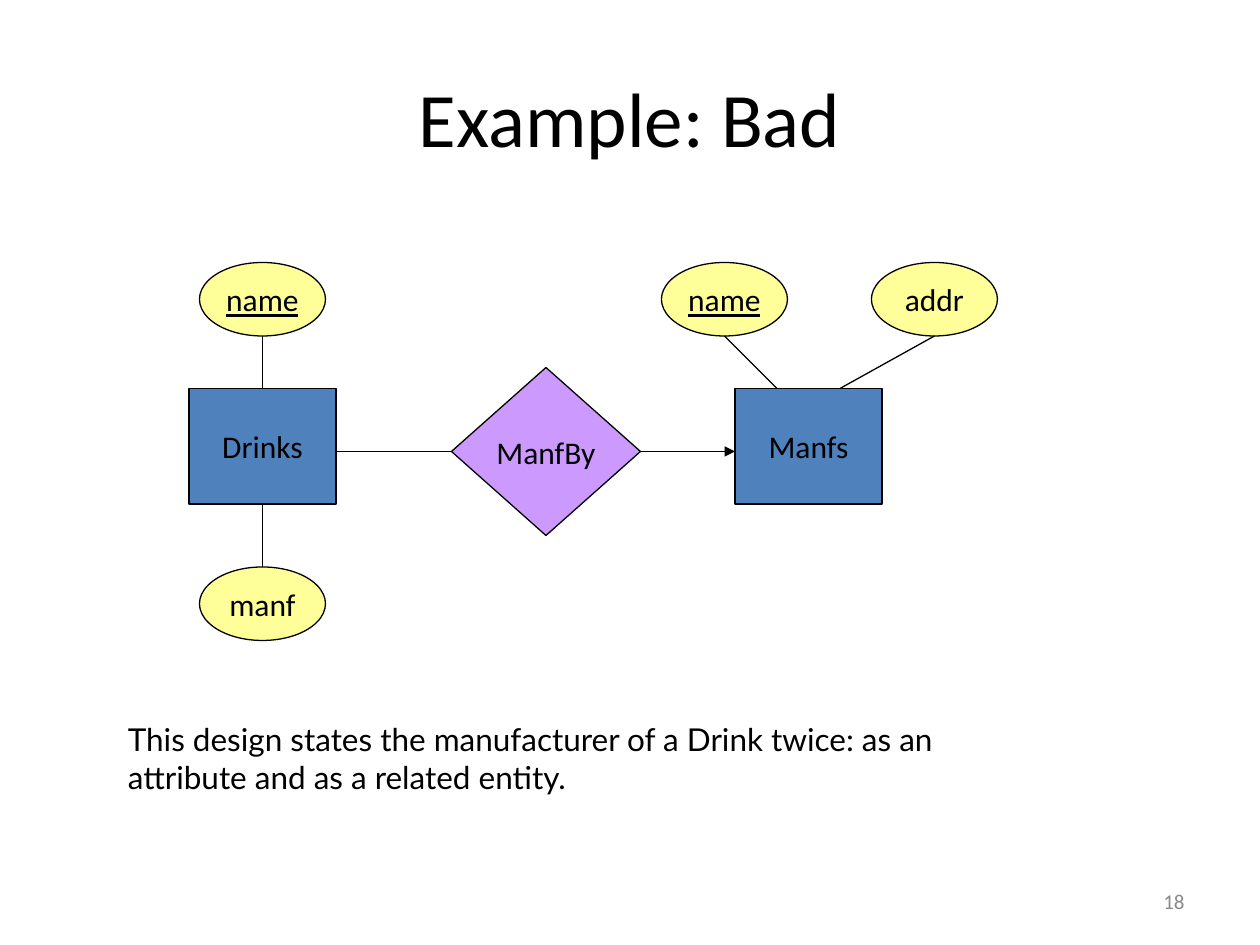
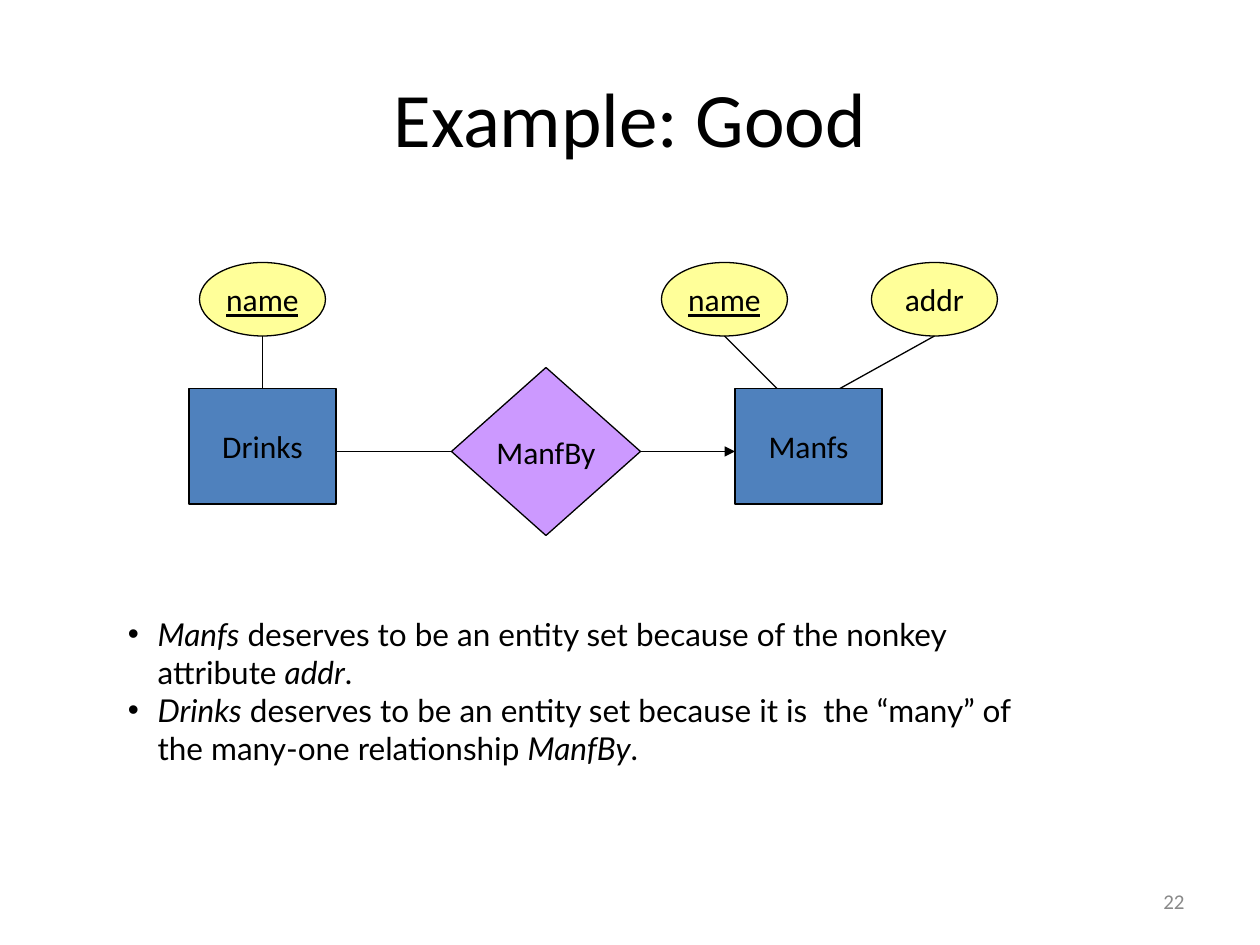
from lxml import etree
from pptx import Presentation
from pptx.dml.color import RGBColor
from pptx.enum.shapes import MSO_CONNECTOR, MSO_SHAPE
from pptx.enum.text import MSO_ANCHOR, PP_ALIGN
from pptx.oxml.ns import qn
from pptx.util import Pt

BLACK, GREY = "000000", "898989"
BLUE, PURPLE, YELLOW = "4F81BD", "CC99FF", "FFFF99"
HEADING_FONT, BODY_FONT = "Calibri", "Lato"


def colour(hex_string):
    return RGBColor.from_string(hex_string)


class DiagramDeck:
    """Holds the shared style and the slide being drawn; lengths are in points."""

    def __init__(self):
        self.presentation = Presentation()
        self.presentation.slide_width = Pt(720)
        self.presentation.slide_height = Pt(540)
        self.slide = None

    def add_slide(self, title, number):
        layout = self.presentation.slide_layouts.get_by_name("Title Only")
        self.slide = self.presentation.slides.add_slide(layout)
        shape = self.slide.shapes.title
        shape.left, shape.top, shape.width, shape.height = Pt(36), Pt(21.6), Pt(648), Pt(90)
        shape.text_frame.text = title
        shape.text_frame.vertical_anchor = MSO_ANCHOR.MIDDLE
        self.style(shape.text_frame.paragraphs[0], 44, alignment=PP_ALIGN.CENTER)

        frame = self.text_box(516, 500.5, 168, 28.8)
        frame.vertical_anchor = MSO_ANCHOR.MIDDLE
        frame.text = number
        self.style(frame.paragraphs[0], 12, GREY, alignment=PP_ALIGN.RIGHT)

    def style(self, paragraph, size=18, ink=BLACK, font=HEADING_FONT, alignment=PP_ALIGN.LEFT):
        paragraph.alignment = alignment
        paragraph.font.name = font
        paragraph.font.size = Pt(size)
        paragraph.font.color.rgb = colour(ink)

    def text_box(self, left, top, width, height):
        box = self.slide.shapes.add_textbox(Pt(left), Pt(top), Pt(width), Pt(height))
        box.text_frame.word_wrap = True
        return box.text_frame

    def node(self, kind, label, left, top, width, height, fill, underline=False):
        shape = self.slide.shapes.add_shape(kind, Pt(left), Pt(top), Pt(width), Pt(height))
        shape.shadow.inherit = False
        shape.fill.solid()
        shape.fill.fore_color.rgb = colour(fill)
        shape.line.color.rgb = colour(BLACK)
        shape.line.width = Pt(0.75)
        frame = shape.text_frame
        frame.word_wrap = False
        frame.vertical_anchor = MSO_ANCHOR.MIDDLE
        frame.text = label
        paragraph = frame.paragraphs[0]
        self.style(paragraph, alignment=PP_ALIGN.CENTER)
        if underline:
            paragraph.font.underline = True

    def entity(self, label, left):
        self.node(MSO_SHAPE.RECTANGLE, label, left, 222, 84, 66, BLUE)

    def relationship(self, label, left):
        self.node(MSO_SHAPE.DIAMOND, label, left, 210, 108, 96, PURPLE)

    def attribute(self, label, left, top=150, key=False):
        self.node(MSO_SHAPE.OVAL, label, left, top, 72, 42, YELLOW, underline=key)

    def line(self, start, end, arrow=False):
        connector = self.slide.shapes.add_connector(
            MSO_CONNECTOR.STRAIGHT, *(Pt(value) for value in (*start, *end)))
        connector.line.color.rgb = colour(BLACK)
        connector.line.width = Pt(0.75)
        properties = connector._element.spPr
        if arrow:
            etree.SubElement(properties.find(qn("a:ln")), qn("a:tailEnd"), type="triangle")
        etree.SubElement(properties, qn("a:effectLst"))

    def note(self, text, top, height):
        frame = self.text_box(66, top, 541.5, height)
        frame.text = text
        self.style(frame.paragraphs[0], font=BODY_FONT)

    def bullets(self, items, top, height):
        """Each item is a list of parts, in turn italic and upright."""
        frame = self.text_box(66, top, 541.5, height)
        for index, parts in enumerate(items):
            paragraph = frame.add_paragraph() if index else frame.paragraphs[0]
            properties = paragraph._p.get_or_add_pPr()
            properties.set("marL", str(Pt(17)))
            properties.set("indent", str(Pt(-17)))
            etree.SubElement(properties, qn("a:buFont"), typeface="Arial")
            etree.SubElement(properties, qn("a:buChar"), char="•")
            self.style(paragraph, font=BODY_FONT)
            for position, part in enumerate(parts):
                run = paragraph.add_run()
                run.text = part
                if position % 2 == 0:
                    run.font.italic = True

    def drinks_diagram(self):
        """The entities, relationship and attributes that both slides show."""
        self.entity("Drinks", 108)
        self.entity("Manfs", 420)
        self.relationship("ManfBy", 258)
        self.attribute("name", 114, key=True)
        self.attribute("name", 378, key=True)
        self.attribute("addr", 498)
        self.line((258, 258), (192, 258))
        self.line((366, 258), (420, 258), arrow=True)
        for attribute_x, entity_x in ((150, 150), (414, 444), (534, 480)):
            self.line((attribute_x, 192), (entity_x, 222))


def main():
    deck = DiagramDeck()

    deck.add_slide("Example: Bad", "18")
    deck.drinks_diagram()
    deck.attribute("manf", 114, top=324)
    deck.line((150, 324), (150, 288))
    deck.note("This design states the manufacturer of a Drink twice: "
              "as an attribute and as a related entity.", 408, 50.4)

    deck.add_slide("Example: Good", "22")
    deck.drinks_diagram()
    deck.bullets([
        ["Manfs", " deserves to be an entity set because of the nonkey attribute ", "addr", "."],
        ["Drinks", " deserves to be an entity set because it is  the “many” of "
                   "the many-one relationship ", "ManfBy", "."],
    ], 348, 93.6)

    deck.presentation.save("out.pptx")


if __name__ == "__main__":
    main()
